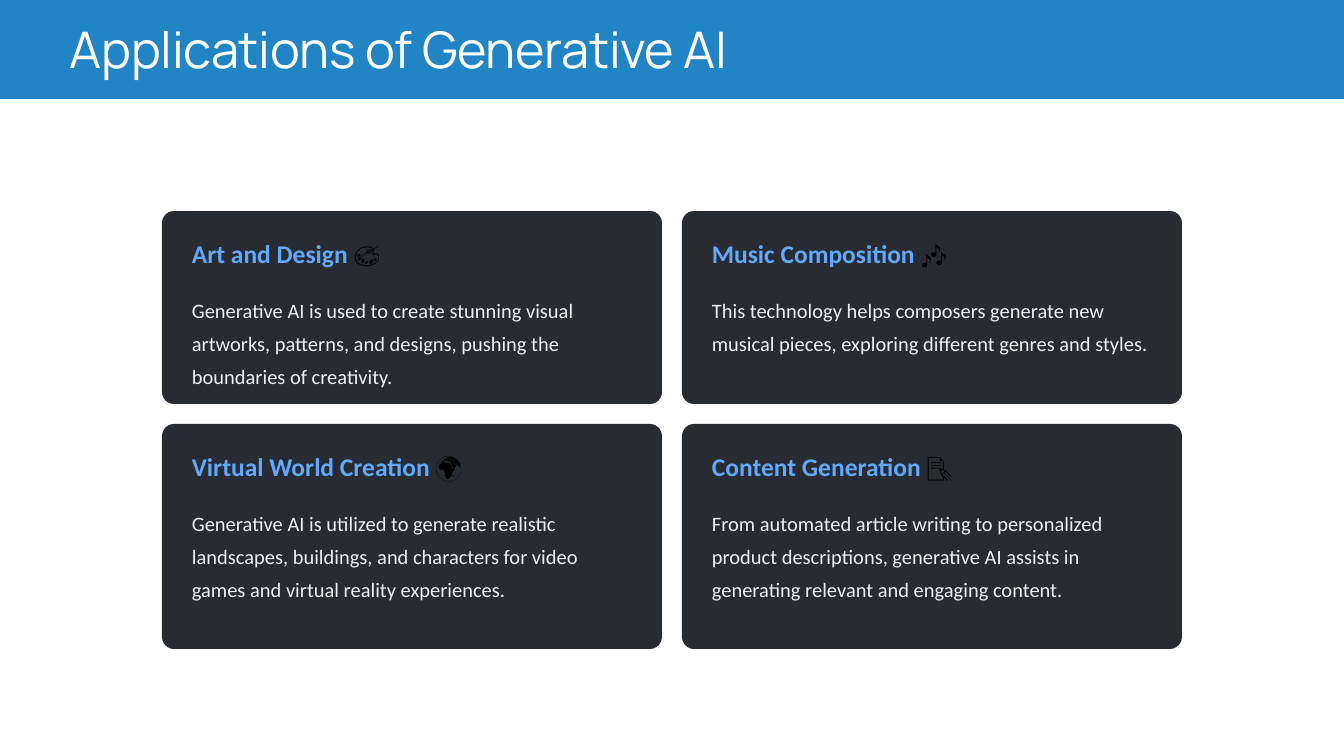
from pptx import Presentation
from pptx.dml.color import RGBColor
from pptx.enum.shapes import MSO_SHAPE
from pptx.enum.text import MSO_ANCHOR
from pptx.util import Pt

PX = 914400 / 100.8
BLUE = RGBColor(0x21, 0x85, 0xC5)
DARK = RGBColor(0x28, 0x2C, 0x32)
SKY = RGBColor(0x60, 0xA9, 0xFF)
PALE = RGBColor(0xEE, 0xEF, 0xF5)
BLACK = RGBColor(0, 0, 0)
WHITE = RGBColor(0xFF, 0xFF, 0xFF)

prs = Presentation()
prs.slide_width, prs.slide_height = round(1344 * PX), round(756 * PX)
s = prs.slides.add_slide(prs.slide_layouts[6])


def add_box(kind, x, y, w, h, color):
    sp = s.shapes.add_shape(kind, *(round(v * PX) for v in (x, y, w, h)))
    sp.shadow.inherit = False
    sp.fill.solid()
    sp.fill.fore_color.rgb = color
    sp.line.fill.background()
    return sp


def add_text(x, y, w, h, runs, size, font="Calibri", bold=False, spacing=None):
    """Add one paragraph made of (text, colour) runs and return its text frame."""
    tf = s.shapes.add_textbox(*(round(v * PX) for v in (x, y, w, h))).text_frame
    tf.word_wrap = True
    p = tf.paragraphs[0]
    if spacing:
        p.line_spacing = Pt(spacing)
    for text, color in runs:
        r = p.add_run()
        r.text = text
        r.font.name, r.font.size, r.font.bold = font, Pt(size), bold
        r.font.color.rgb = color
    return tf


add_box(MSO_SHAPE.RECTANGLE, 0, 0, 1344, 99, BLUE)

LEFT, TOP, CARD_W, GAP, PAD, RADIUS = 162, 211, 500, 20, 20, 12
TEXT_W = CARD_W - 2 * PAD
ROW_HEIGHTS = [193, 225]
# heading, symbol, body, body height
CARDS = [
    ("Art and Design ", "🎨",
     "Generative AI is used to create stunning visual artworks, patterns, "
     "and designs, pushing the boundaries of creativity.", 98),
    ("Music Composition ", "🎶",
     "This technology helps composers generate new musical pieces, "
     "exploring different genres and styles.", 98),
    ("Virtual World Creation ", "🌍",
     "Generative AI is utilized to generate realistic landscapes, buildings, "
     "and characters for video games and virtual reality experiences.", 98),
    ("Content Generation ", "📝",
     "From automated article writing to personalized product descriptions, "
     "generative AI assists in generating relevant and engaging content.", 131),
]

for i, (heading, symbol, body, body_h) in enumerate(CARDS):
    row, col = divmod(i, 2)
    x = LEFT + col * (CARD_W + GAP)
    y = TOP + sum(ROW_HEIGHTS[:row]) + row * GAP
    h = ROW_HEIGHTS[row]
    card = add_box(MSO_SHAPE.ROUNDED_RECTANGLE, x, y, CARD_W, h, DARK)
    card.adjustments[0] = RADIUS / h
    add_text(x + PAD, y + 21, TEXT_W, 33, [(heading, SKY), (symbol, BLACK)],
             18.2, bold=True, spacing=22.8)
    add_text(x + PAD, y + 74, TEXT_W, body_h, [(body, PALE)], 14.6, spacing=23.4)

title = add_text(60, 14, 1091, 68, [("Applications of Generative AI", WHITE)], 36, "Manrope")
title.vertical_anchor = MSO_ANCHOR.MIDDLE
title.paragraphs[0].runs[0].font._element.set("spc", "-20")

prs.save("out.pptx")
